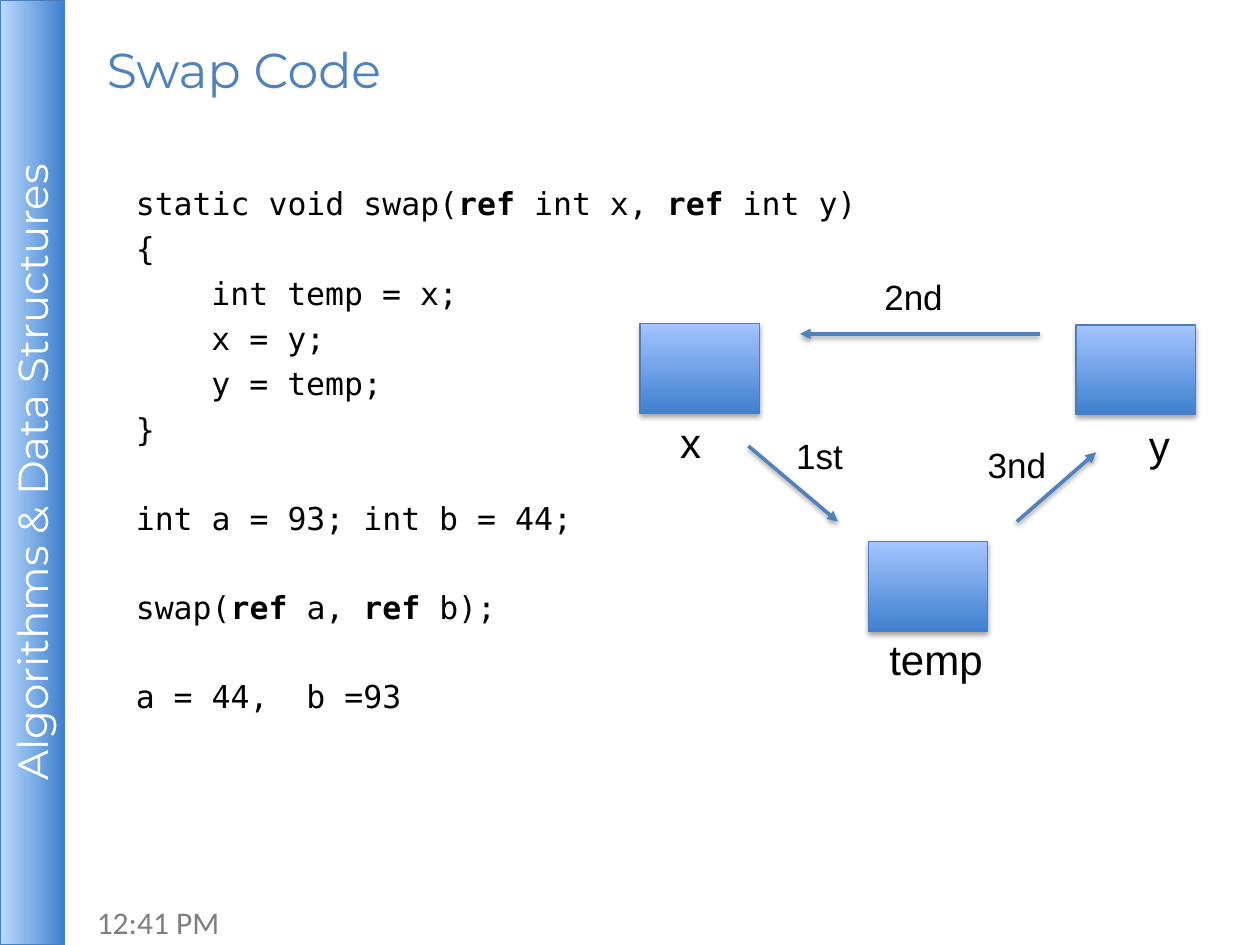
"""Build the Swap Code slide."""
from lxml.etree import SubElement as Sub
from pptx import Presentation
from pptx.dml.color import RGBColor as RGB
from pptx.enum.shapes import MSO_CONNECTOR as Conn, MSO_SHAPE as Kind
from pptx.enum.text import MSO_ANCHOR as Anchor, PP_ALIGN as Align
from pptx.oxml.ns import qn
from pptx.util import Inches, Pt

BLACK = RGB(0, 0, 0)
WHITE = RGB(0xFF, 0xFF, 0xFF)
GRAY = RGB(0x7F, 0x7F, 0x7F)
CREAM = RGB(0xEE, 0xEC, 0xE1)
BLUE = RGB(0x4F, 0x81, 0xBD)
EDGE = RGB(0x4B, 0x7E, 0xBC)
PALE = RGB(0xBD, 0xDB, 0xFE)
LIGHT = RGB(0xA4, 0xC4, 0xFF)
DARK = RGB(0x3F, 0x80, 0xCE)

SIDE = "Algorithms & Data Structures"
TITLE = "Swap Code"
TIME = "12:41 PM"
KEY = "ref"
CODE = [
    (0, 0, "static void swap(ref int x, ref int y)"),
    (0, 0, "{"),
    (1, 0, "int temp = x;"),
    (1, 0, "x = y;"),
    (1, 0, "y = temp;"),
    (0, 0, "}"),
    (0, 1, "int a = 93; int b = 44;"),
    (0, 1, "swap(ref a, ref b);"),
    (0, 1, "a = 44,  b =93"),
]
CELLS = [(5.08, 2.57), (6.89, 4.3), (8.54, 2.58)]
NAMES = [
    ("x", (5.3, 3.26, 0.29, 0.51)),
    ("temp", (6.96, 4.98, 1.43, 0.51)),
    ("y", (9.02, 3.28, 0.33, 0.51)),
]
STEPS = [
    ("1st", (6.22, 3.4, 0.57, 0.44), (5.94, 3.54, 6.65, 4.14)),
    ("2nd", (6.92, 2.14, 0.67, 0.44), (8.25, 2.65, 6.35, 2.65)),
    ("3nd", (7.74, 3.47, 0.67, 0.44), (8.07, 4.14, 8.7, 3.59)),
]
TAB = 0.6
GAP = 4.2
PITCH = 25.15


def inch(nums):
    return [Inches(n) for n in nums]


def write(par, text, size=18, font="Arial", color=BLACK, bold=False):
    run = par.add_run()
    run.text = text
    run.font.size = Pt(size)
    run.font.name = font
    run.font.color.rgb = color
    run.font.bold = bold


def frame(slide, spot, wrap=True):
    body = slide.shapes.add_textbox(*inch(spot)).text_frame
    body.word_wrap = wrap
    return body


def label(slide, text, spot, wrap=True, anchor=Anchor.TOP, **form):
    body = frame(slide, spot, wrap)
    body.vertical_anchor = anchor
    write(body.paragraphs[0], text, **form)


def shade(shape, color=BLACK, alpha=35, blur=3.1, dist=1.8):
    props = shape._element.spPr
    effect = props.find(qn("a:effectLst"))
    if effect is None:
        effect = Sub(props, qn("a:effectLst"))
    cast = Sub(effect, qn("a:outerShdw"), blurRad=str(Pt(blur)),
               dist=str(Pt(dist)), dir="5400000", rotWithShape="0")
    tone = Sub(cast, qn("a:srgbClr"), val=str(color))
    Sub(tone, qn("a:alpha"), val=str(alpha * 1000))


def block(slide, spot, ends, angle, **cast):
    shape = slide.shapes.add_shape(Kind.RECTANGLE, *inch(spot))
    shape.shadow.inherit = False
    shape.fill.gradient()
    shape.fill.gradient_angle = angle
    for stop, color in zip(shape.fill.gradient_stops, ends):
        stop.color.rgb = color
    shape.line.color.rgb = EDGE
    shape.line.width = Pt(0.75)
    shade(shape, **cast)
    return shape


def arrow(slide, ends):
    line = slide.shapes.add_connector(Conn.STRAIGHT, *inch(ends))
    line.line.color.rgb = BLUE
    line.line.width = Pt(2)
    Sub(line.line._get_or_add_ln(), qn("a:tailEnd"), type="triangle")
    shade(line, alpha=38, dist=1.6)


def sidebar(slide):
    bar = block(slide, (0, 0, 0.51, 7.5), (PALE, DARK), 0, color=CREAM, blur=0)
    body = bar.text_frame
    body.margin_left = body.margin_right = Inches(0.04)
    body.margin_top = body.margin_bottom = Inches(0.04)
    body.vertical_anchor = Anchor.MIDDLE
    body._txBody.bodyPr.set("vert", "vert270")
    body.paragraphs[0].alignment = Align.CENTER
    write(body.paragraphs[0], SIDE, size=24, font="Montserrat", color=WHITE)


def listing(slide):
    body = frame(slide, (0.98, 1.41, 8.27, 4.95))
    for row, (depth, skip, text) in enumerate(CODE):
        par = body.add_paragraph() if row else body.paragraphs[0]
        par.space_before = Pt(GAP + skip * PITCH)
        par._p.get_or_add_pPr().set("marL", str(Inches(depth * TAB)))
        for part, piece in enumerate(text.split(KEY)):
            if part:
                write(par, KEY, font="DejaVu Sans Mono", bold=True)
            write(par, piece, font="DejaVu Sans Mono")


def main():
    deck = Presentation()
    deck.slide_width, deck.slide_height = inch((10, 7.5))
    slide = deck.slides.add_slide(deck.slide_layouts[6])
    label(slide, TIME, (0.67, 7.12, 2.33, 0.4), font="Calibri", color=GRAY)
    sidebar(slide)
    label(slide, TITLE, (0.75, 0.16, 7.5, 0.78), anchor=Anchor.MIDDLE,
          size=28, font="Montserrat", color=BLUE)
    listing(slide)
    for spot in CELLS:
        block(slide, (*spot, 0.95, 0.71), (DARK, LIGHT), 90)
    for text, spot in NAMES:
        label(slide, text, spot, size=24)
    for text, spot, ends in STEPS:
        arrow(slide, ends)
        label(slide, text, spot, wrap=False, size=20)
    deck.save("out.pptx")


if __name__ == "__main__":
    main()
